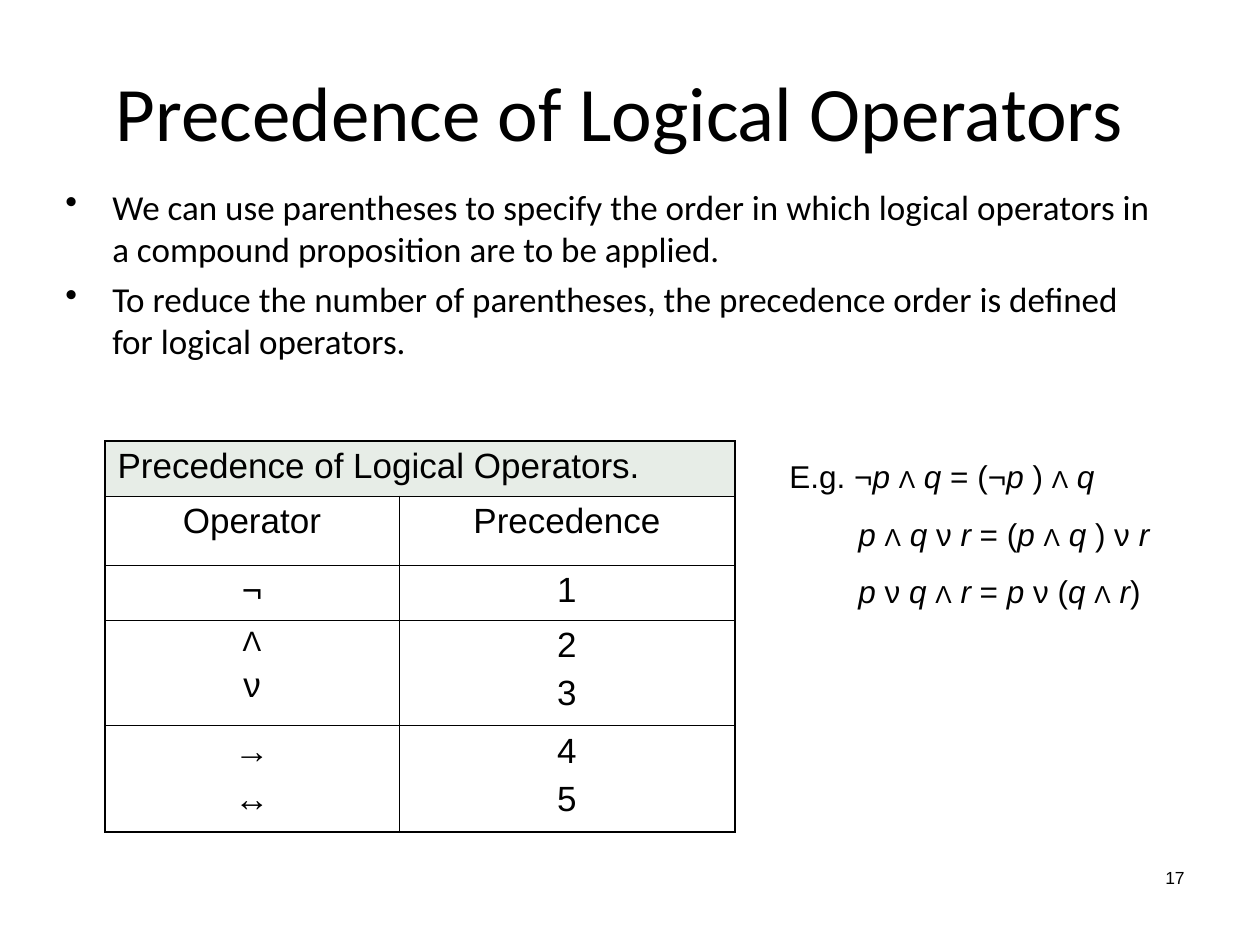
from itertools import groupby

from lxml.etree import SubElement
from pptx import Presentation
from pptx.dml.color import RGBColor
from pptx.enum.text import MSO_ANCHOR as Anchor, PP_ALIGN as Align
from pptx.oxml.ns import qn
from pptx.util import Pt

BLACK = RGBColor(0, 0, 0)
PALE_GREEN = RGBColor(0xE7, 0xED, 0xE7)
SCALE = 914400 / 126

TITLE = "Precedence of Logical Operators"
BULLETS = [
    "We can use parentheses to specify the order in which logical operators in a compound proposition are to be applied.",
    "To reduce the number of parentheses, the precedence order is defined for logical operators.",
]
TABLE_ROWS = [
    (["Precedence of Logical Operators."], []),
    (["Operator"], ["Precedence"]),
    (["¬"], ["1"]),
    (["Λ", "ν"], ["2", "3"]),
    (["→", "↔"], ["4", "5"]),
]
COL_WIDTHS = [294, 336]
ROW_HEIGHTS = [55, 69, 55, 106, 106]
EXAMPLES = [
    ("E.g. ¬p Λ q = (¬p ) Λ q", 0),
    ("p Λ q ν r = (p Λ q ) ν r", 69),
    ("p ν q Λ r = p ν (q Λ r)", 69),
]
PAGE_NUMBER = "17"


def px(n):
    return round(n * SCALE)


def add_run(p, text, size, name="Arial", italic=False):
    r = p.add_run()
    r.text = text
    style = {"size": Pt(size), "name": name, "italic": italic}
    for key, value in style.items():
        setattr(r.font, key, value)
    r.font.color.rgb = BLACK


def add_box(s, box, anchor=Anchor.TOP):
    tf = s.shapes.add_textbox(*map(px, box)).text_frame
    tf.word_wrap = True
    tf.vertical_anchor = anchor
    return tf


def add_paragraph(tf, i, space=0, align=Align.LEFT):
    p = tf.add_paragraph() if i else tf.paragraphs[0]
    p.alignment = align
    if i and space:
        p.space_before = Pt(space)
    return p


def set_indent(p, left, first=0):
    pPr = p._p.get_or_add_pPr()
    pPr.set("marL", str(px(left)))
    pPr.set("indent", str(px(first)))
    return pPr


def set_borders(cell, outer):
    tcPr = cell._tc.get_or_add_tcPr()
    for side in "LRTB":
        width = Pt(1.08 if side in outer else 0.45)
        ln = SubElement(tcPr, qn(f"a:ln{side}"), w=str(width))
        fill = SubElement(ln, qn("a:solidFill"))
        SubElement(fill, qn("a:srgbClr"), val=str(BLACK))


def add_bullets(s):
    tf = add_box(s, (53, 179, 1124, 346))
    for i, text in enumerate(BULLETS):
        p = add_paragraph(tf, i, 5)
        SubElement(set_indent(p, 47, -47), qn("a:buChar"), char="•")
        add_run(p, text, 20, "Calibri")


def add_precedence_table(s):
    box = (105, 441, sum(COL_WIDTHS), sum(ROW_HEIGHTS))
    table = s.shapes.add_table(len(ROW_HEIGHTS), len(COL_WIDTHS), *map(px, box)).table
    table.first_row = table.horz_banding = False
    for col, width in zip(table.columns, COL_WIDTHS):
        col.width = px(width)
    for row, height in zip(table.rows, ROW_HEIGHTS):
        row.height = px(height)
    table.cell(0, 0).merge(table.cell(0, 1))
    for y, row in enumerate(TABLE_ROWS):
        for x, lines in enumerate(row):
            cell = table.cell(y, x)
            outer = "LR" if y == 0 else "LR"[x]
            outer += {0: "T", len(TABLE_ROWS) - 1: "B"}.get(y, "")
            set_borders(cell, outer)
            if y == 0:
                cell.fill.solid()
                cell.fill.fore_color.rgb = PALE_GREEN
            else:
                cell.fill.background()
            for i, text in enumerate(lines):
                p = add_paragraph(cell.text_frame, i, 5, Align.CENTER if y else Align.LEFT)
                add_run(p, text, 16 if text == "Λ" else 20)


def add_examples(s):
    tf = add_box(s, (777, 451, 462, 166))
    for i, (formula, left) in enumerate(EXAMPLES):
        p = add_paragraph(tf, i, 11.2)
        set_indent(p, left)
        for (italic, small), chars in groupby(formula, lambda c: (c in "pqr", c == "Λ")):
            add_run(p, "".join(chars), 14 if small else 18, italic=italic)


def main():
    prs = Presentation()
    prs.slide_width, prs.slide_height = px(1260), px(945)
    s = prs.slides.add_slide(prs.slide_layouts[6])
    tf = add_box(s, (53, 32, 1134, 157), Anchor.MIDDLE)
    add_run(add_paragraph(tf, 0, align=Align.CENTER), TITLE, 44, "Calibri")
    add_bullets(s)
    add_precedence_table(s)
    add_examples(s)
    tf = add_box(s, (903, 861, 294, 63))
    add_run(add_paragraph(tf, 0, align=Align.RIGHT), PAGE_NUMBER, 10)
    prs.save("out.pptx")


if __name__ == "__main__":
    main()
